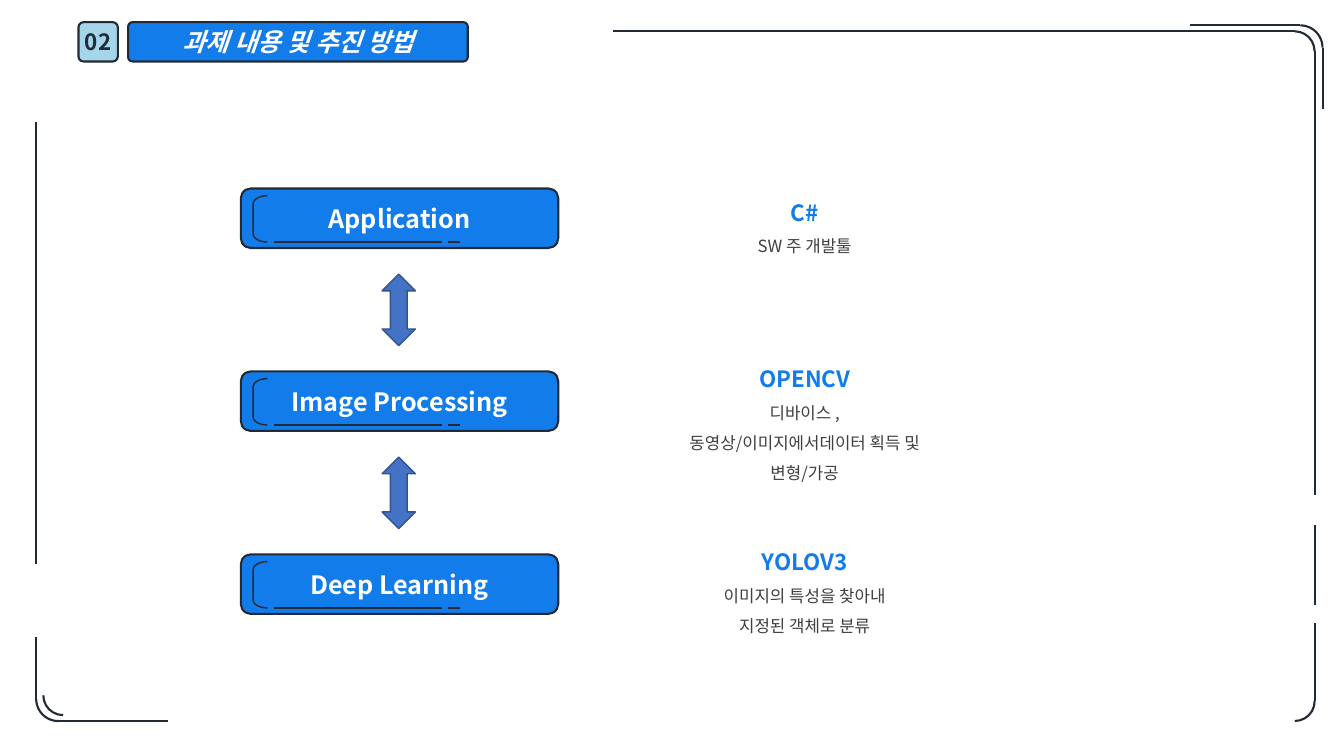
from lxml import etree
from pptx import Presentation
from pptx.dml.color import RGBColor
from pptx.enum.shapes import MSO_CONNECTOR, MSO_SHAPE
from pptx.enum.text import MSO_ANCHOR, MSO_AUTO_SIZE, PP_ALIGN
from pptx.oxml.ns import qn
from pptx.util import Cm, Pt

ROUND = MSO_SHAPE.ROUNDED_RECTANGLE
BRACKET = MSO_SHAPE.RIGHT_BRACKET
ARC = MSO_SHAPE.ARC
ARROW = MSO_SHAPE.UP_DOWN_ARROW
LINE = MSO_CONNECTOR.STRAIGHT
CENTER = PP_ALIGN.CENTER
MIDDLE = MSO_ANCHOR.MIDDLE
GROW = MSO_AUTO_SIZE.SHAPE_TO_FIT_TEXT

THEME = {
    "font": "Noto Sans CJK KR",
    "blue": RGBColor(0x12, 0x7C, 0xEA),
    "sky": RGBColor(0xA5, 0xD5, 0xE9),
    "ink": RGBColor(0x22, 0x2A, 0x35),
    "white": RGBColor(0xFF, 0xFF, 0xFF),
    "gray": RGBColor(0x40, 0x40, 0x40),
    "arrow": RGBColor(0x44, 0x72, 0xC4),
    "edge": RGBColor(0x32, 0x54, 0x91),
    "label": {"size": Pt(18), "bold": True},
    "title": {"size": Pt(18), "bold": True, "italic": True},
    "number": {"size": Pt(16), "bold": True},
    "head": {"size": Pt(16), "bold": True},
    "body": {"size": Pt(12), "bold": False},
}

deck = Presentation()
deck.slide_width, deck.slide_height = Cm(33.87), Cm(19.05)
slide = deck.slides.add_slide(deck.slide_layouts[6])
shapes = slide.shapes


def draw(kind, box, fill=None, edge="ink", width=1.5, turn=0, adjust=None):
    """Add a preset shape, or a line when kind is LINE (box = two ends)."""
    spots = [Cm(n) for n in box]
    if kind is LINE:
        item = shapes.add_connector(kind, *spots)
        etree.SubElement(item._element.spPr, qn("a:effectLst"))
    else:
        item = shapes.add_shape(kind, *spots)
        item.shadow.inherit = False
        item.rotation = turn
        if adjust is not None:
            item.adjustments[0] = adjust
        if fill:
            item.fill.solid()
            item.fill.fore_color.rgb = THEME[fill]
        else:
            item.fill.background()
    item.line.color.rgb = THEME[edge]
    item.line.width = Pt(width)
    return item


def write(par, text, style, color):
    par.alignment = CENTER
    run = par.add_run()
    run.text = text
    for key, value in THEME[style].items():
        setattr(run.font, key, value)
    run.font.color.rgb = THEME[color]
    run.font.name = THEME["font"]
    east = etree.SubElement(run.font._element, qn("a:ea"))
    east.set("typeface", THEME["font"])


# Header: number and title
for left, wide, adjust, fill, text, style, color, wrap in [
    (3.23, 8.56, 0.111, "blue", "과제 내용 및 추진 방법", "title", "white", True),
    (1.98, 0.99, 0.127, "sky", "02", "number", "ink", False),
]:
    plate = draw(ROUND, (left, 0.56, wide, 0.99), fill, adjust=adjust)
    frame = plate.text_frame
    frame.word_wrap, frame.vertical_anchor = wrap, MIDDLE
    write(frame.paragraphs[0], text, style, color)

# Layers: button on the left, notes on the right
FIRST, PITCH = 4.75, 4.61
layers = [
    ("Application", "C#", ["SW 주 개발툴"], 0.2, 1.96),
    ("Image Processing", "OPENCV",
     ["디바이스 , 동영상/이미지에서데이터 획득 및 변형/가공"], 0.61, 2.72),
    ("Deep Learning", "YOLOV3",
     ["이미지의 특성을 찾아내", "지정된 객체로 분류"], 0.61, 2.72),
]
for row, (label, head, notes, lift, tall) in enumerate(layers):
    top = FIRST + row * PITCH
    button = draw(ROUND, (6.07, top, 8, 1.5), "blue")
    frame = button.text_frame
    frame.word_wrap, frame.vertical_anchor = True, MIDDLE
    write(frame.paragraphs[0], label, "label", "white")

    # Button trim
    draw(BRACKET, (6.38, top + 0.18, 0.36, 1.17), width=1, turn=180, adjust=0.557)
    for start, end in [(11.15, 6.91), (11.58, 11.28)]:
        draw(LINE, (start, top + 1.35, end, top + 1.35), width=1)

    # Notes
    box = shapes.add_textbox(Cm(17.04), Cm(top - lift), Cm(6.48), Cm(tall))
    frame = box.text_frame
    frame.word_wrap, frame.auto_size = True, GROW
    write(frame.paragraphs[0], head, "head", "blue")
    for note in notes:
        write(frame.add_paragraph(), note, "body", "gray")
    for par in frame.paragraphs:
        par.line_spacing = 1.5

    # Arrow down to the next layer
    if row < len(layers) - 1:
        draw(ARROW, (9.63, top + 2.16, 0.84, 1.8), "arrow", "edge", 1)

# Border: corner arcs, then straight pieces
for left, top, size, turn in [
    (32.13, 0.79, 1, 0),
    (32.21, 0.64, 1.12, 0),
    (32.13, 17.17, 1, 90),
    (1.09, 17.02, 1, 180),
    (0.91, 17.05, 1.12, 180),
]:
    draw(ARC, (left, top, size, size), turn=turn)

for ends in [
    (32.63, 0.79, 15.44, 0.79),
    (32.77, 0.64, 30, 0.64),
    (33.33, 2.74, 33.33, 1.2),
    (33.13, 12.47, 33.13, 1.29),
    (33.13, 15.24, 33.13, 13.23),
    (33.13, 17.67, 33.13, 15.7),
    (1.47, 18.17, 4.24, 18.17),
    (0.91, 16.05, 0.91, 17.61),
    (0.91, 14.22, 0.91, 3.07),
]:
    draw(LINE, ends)

deck.save("out.pptx")
